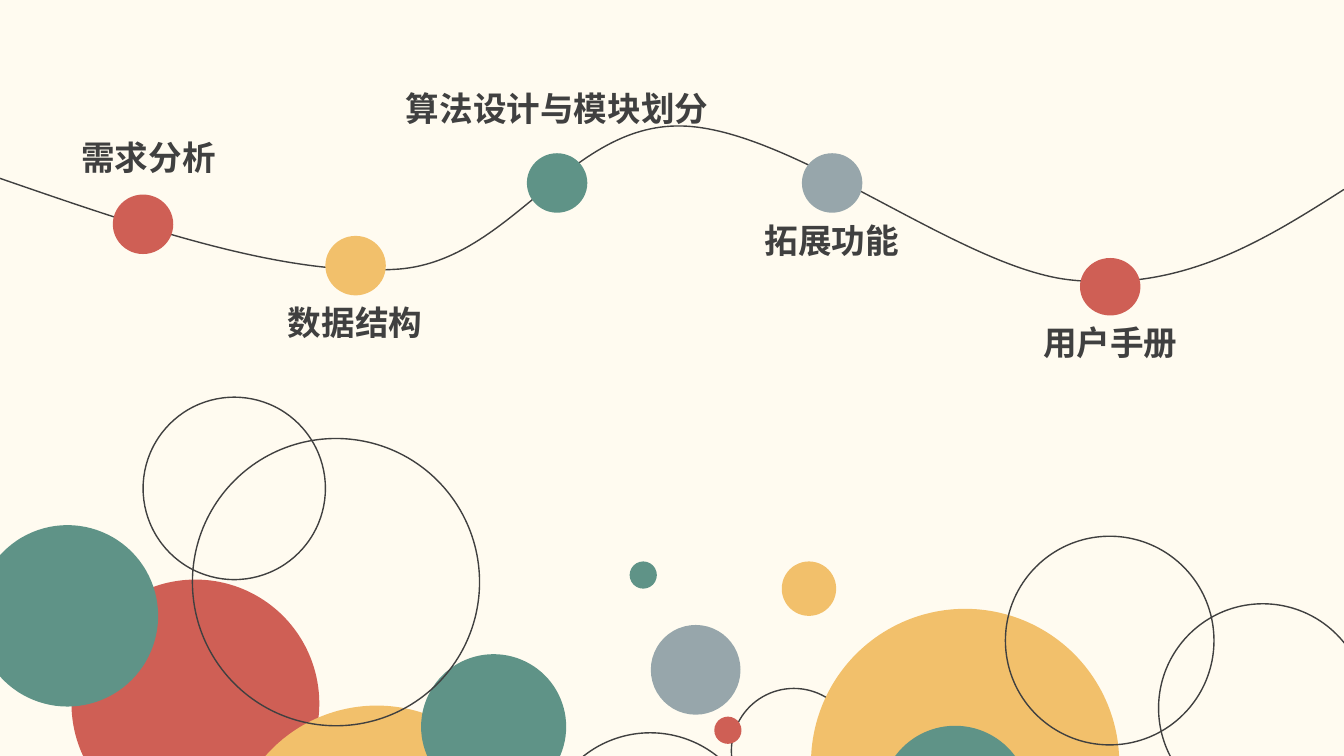
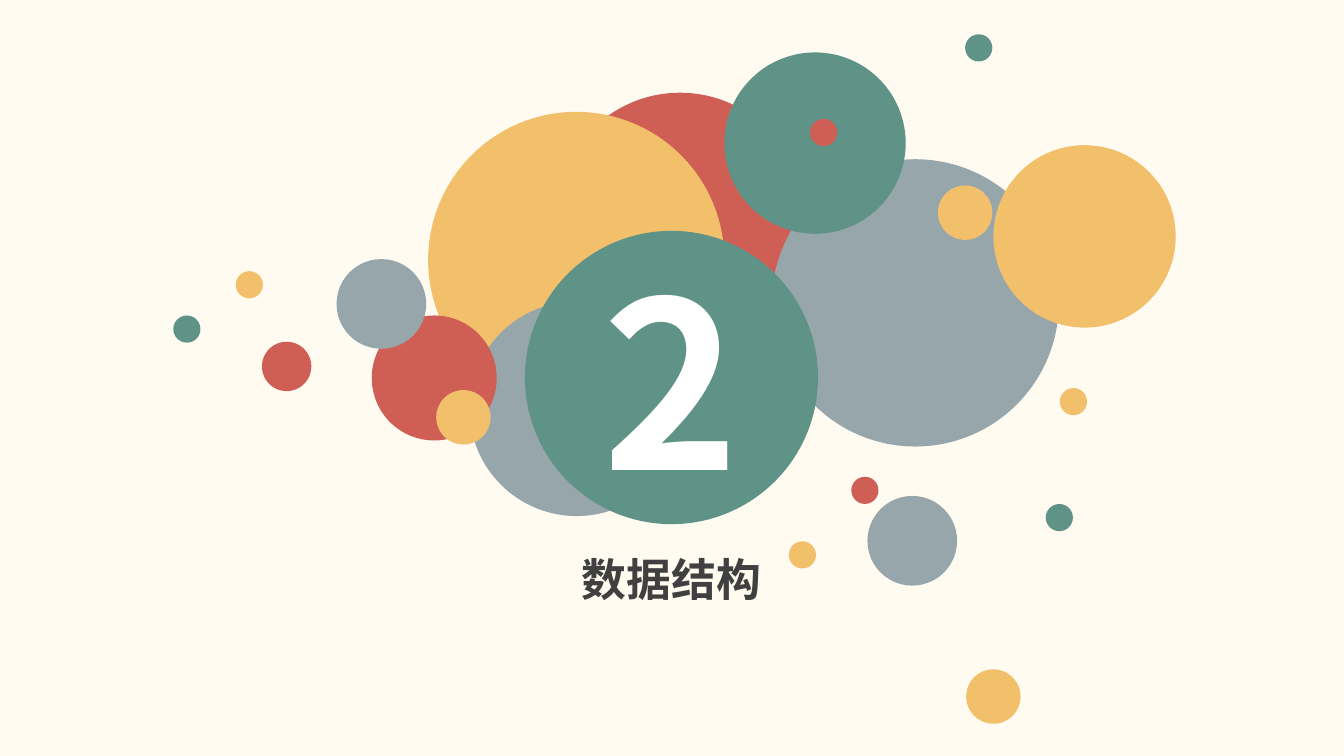
from lxml.etree import SubElement
from pptx import Presentation
from pptx.dml.color import RGBColor
from pptx.enum.shapes import MSO_SHAPE
from pptx.enum.text import MSO_ANCHOR, MSO_AUTO_SIZE, PP_ALIGN
from pptx.oxml.ns import qn
from pptx.util import Pt

PX = 9144
FONT = "Noto Sans CJK SC"
COLOURS = {
    "cream": "FFFBF0",
    "red": "CF5F55",
    "yellow": "F2C06B",
    "green": "5F9387",
    "grey": "97A6AB",
    "ink": "404040",
    "white": "FFFFFF",
}
rgb = {name: RGBColor.from_string(code) for name, code in COLOURS.items()}


def add_circle(slide, left, top, width, height, colour):
    circle = slide.shapes.add_shape(
        MSO_SHAPE.OVAL, left * PX, top * PX, width * PX, height * PX)
    circle.shadow.inherit = False
    if colour == "outline":
        circle.fill.background()
        circle.line.color.rgb = rgb["ink"]
        circle.line.width = Pt(1)
    else:
        circle.fill.solid()
        circle.fill.fore_color.rgb = rgb[colour]
        circle.line.fill.background()
    return circle


def write_centred(shape, text, size, colour):
    frame = shape.text_frame
    frame.word_wrap = True
    paragraph = frame.paragraphs[0]
    paragraph.alignment = PP_ALIGN.CENTER
    run = paragraph.add_run()
    run.text = text
    run.font.color.rgb = rgb[colour]
    for attribute, value in {"size": Pt(size), "bold": True, "name": FONT}.items():
        setattr(run.font, attribute, value)
    SubElement(run.font._element, qn("a:ea"), typeface=FONT)


prs = Presentation()
prs.slide_width = 1334 * PX
prs.slide_height = 750 * PX
background = prs.slide_master.background.fill
background.solid()
background.fore_color.rgb = rgb["cream"]
blank = prs.slide_layouts[6]
agenda = prs.slides.add_slide(blank)
section = prs.slides.add_slide(blank)

agenda_bubbles = [
    (71, 575, 246, "red"),
    (227, 700, 294, "yellow"),
    (418, 649, 144, "green"),
    (539, 727, 213, "outline"),
    (191, 435, 285, "outline"),
    (-23, 521, 180, "green"),
    (726, 683, 124, "outline"),
    (805, 604, 306, "yellow"),
    (874, 720, 148, "green"),
    (998, 532, 207, "outline"),
    (1150, 599, 207, "outline"),
    (646, 620, 89, "grey"),
    (709, 711, 27, "red"),
    (625, 557, 27, "green"),
    (776, 557, 54, "yellow"),
    (142, 394, 181, "outline"),
]
section_bubbles = [
    (552, 92, 246, "red"),
    (425, 111, 294, "yellow"),
    (466, 299, 213, "grey"),
    (766, 158, 285, "grey"),
    (719, 52, 180, "green"),
    (369, 313, 124, "red"),
    (861, 492, 89, "grey"),
    (845, 473, 27, "red"),
    (783, 537, 27, "yellow"),
    (1038, 500, 27, "green"),
    (959, 664, 54, "yellow"),
    (986, 144, 181, "yellow"),
    (334, 257, 89, "grey"),
    (260, 339, 49, "red"),
    (234, 269, 27, "yellow"),
    (172, 313, 27, "green"),
    (433, 387, 54, "yellow"),
    (804, 118, 27, "red"),
    (1052, 385, 27, "yellow"),
    (958, 34, 27, "green"),
    (931, 184, 54, "yellow"),
]
for slide, bubbles in ((agenda, agenda_bubbles), (section, section_bubbles)):
    for left, top, diameter, colour in bubbles:
        add_circle(slide, left, top, diameter, diameter, colour)

wave_start = (0, 177)
wave_curves = [
    [(142, 226), (283, 275), (396, 267)],
    [(508, 258), (564, 123), (676, 125)],
    [(787, 127), (955, 268), (1065, 278)],
    [(1174, 289), (1254, 239), (1334, 188)],
]
wave_ends = [curve[-1] for curve in wave_curves]
wave_top = min(y for x, y in wave_ends)
builder = agenda.shapes.build_freeform(*wave_start, scale=PX)
builder.add_line_segments(wave_ends, close=False)
wave = builder.convert_to_shape()
wave.shadow.inherit = False
wave.fill.background()
wave.line.color.rgb = rgb["ink"]
wave.line.width = Pt(1)
wave_path = next(wave._element.iter(qn("a:path")))
for segment in wave_path.findall(qn("a:lnTo")):
    wave_path.remove(segment)
for curve in wave_curves:
    bezier = SubElement(wave_path, qn("a:cubicBezTo"))
    for x, y in curve:
        SubElement(bezier, qn("a:pt"), x=str(x), y=str(y - wave_top))

for left, top, height, colour in [
    (112, 193, 59, "red"),
    (323, 234, 59, "yellow"),
    (523, 152, 59, "green"),
    (796, 152, 59, "grey"),
    (1072, 256, 57, "red"),
]:
    add_circle(agenda, left, top, 60, height, colour)

number = add_circle(section, 521, 229, 291, 291, "green")
number.text_frame.vertical_anchor = MSO_ANCHOR.MIDDLE
write_centred(number, "2", 166, "white")

for slide, left, top, width, height, text, size in [
    (agenda, -8, 131, 311, 50, "需求分析", 24),
    (agenda, 197, 295, 311, 50, "数据结构", 24),
    (agenda, 383, 82, 340, 50, "算法设计与模块划分", 24),
    (agenda, 670, 213, 311, 50, "拓展功能", 24),
    (agenda, 932, 314, 340, 50, "用户手册", 24),
    (section, 365, 542, 603, 64, "数据结构", 32),
]:
    label = slide.shapes.add_textbox(left * PX, top * PX, width * PX, height * PX)
    write_centred(label, text, size, "ink")
    label.text_frame.auto_size = MSO_AUTO_SIZE.SHAPE_TO_FIT_TEXT

prs.save("out.pptx")
